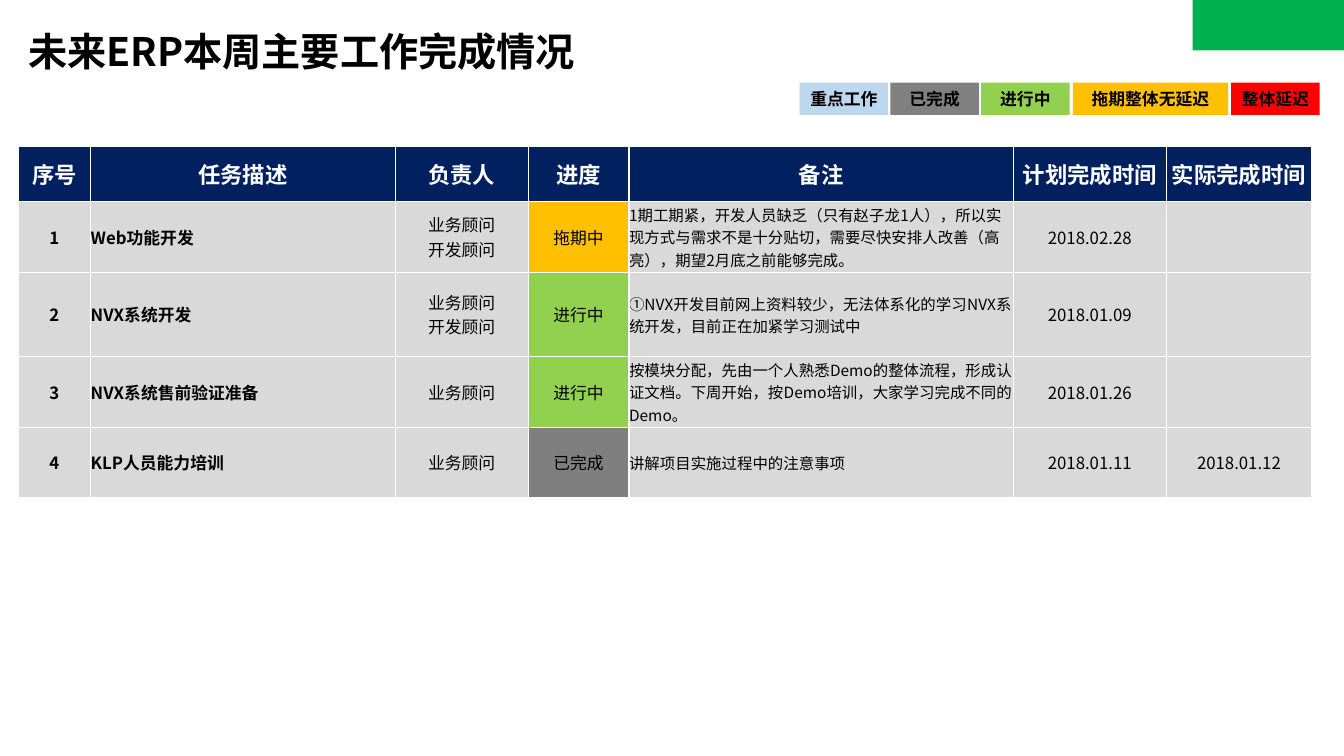
from dataclasses import dataclass

from lxml.etree import SubElement
from pptx import Presentation
from pptx.dml.color import RGBColor
from pptx.enum.shapes import MSO_SHAPE
from pptx.enum.text import MSO_ANCHOR, PP_ALIGN
from pptx.oxml.ns import qn
from pptx.shapes.autoshape import Shape
from pptx.slide import Slide
from pptx.table import _Cell as Cell
from pptx.text.text import TextFrame
from pptx.util import Inches, Pt

BLACK = RGBColor(0x00, 0x00, 0x00)
WHITE = RGBColor(0xFF, 0xFF, 0xFF)
NAVY = RGBColor(0x00, 0x20, 0x60)
LIGHT_GRAY = RGBColor(0xD9, 0xD9, 0xD9)
DONE_GRAY = RGBColor(0x7F, 0x7F, 0x7F)
LEGEND_GRAY = RGBColor(0x80, 0x80, 0x80)
LIME = RGBColor(0x92, 0xD0, 0x50)
AMBER = RGBColor(0xFF, 0xC0, 0x00)
RED = RGBColor(0xFF, 0x00, 0x00)
PALE_BLUE = RGBColor(0xBD, 0xD7, 0xEE)
GREEN = RGBColor(0x00, 0xB0, 0x50)
CJK_FONT = "Noto Sans CJK SC"


@dataclass(frozen=True)
class TextStyle:
    size: float
    color: RGBColor = BLACK
    bold: bool = False
    align: PP_ALIGN = PP_ALIGN.CENTER


@dataclass(frozen=True)
class LegendEntry:
    text: str
    fill: RGBColor
    left: float
    width: float = 0.88


@dataclass(frozen=True)
class Column:
    heading: str
    width: float
    style: TextStyle


@dataclass(frozen=True)
class Task:
    name: str
    owners: str
    status: str
    remark: str
    planned: str
    actual: str = ""
    height: float = 0.7


TITLE_STYLE = TextStyle(28, bold=True, align=PP_ALIGN.LEFT)
HEADING_STYLE = TextStyle(16, WHITE, bold=True)
BODY_STYLE = TextStyle(12)
BOLD_STYLE = TextStyle(12, bold=True)
HEADING_HEIGHT = 0.55
LEGEND_TOP, LEGEND_HEIGHT = 0.82, 0.32
STATUS_FILLS = {"拖期中": AMBER, "进行中": LIME, "已完成": DONE_GRAY}

LEGEND = [
    LegendEntry("重点工作", PALE_BLUE, 7.93),
    LegendEntry("已完成", LEGEND_GRAY, 8.83),
    LegendEntry("进行中", LIME, 9.73),
    LegendEntry("拖期整体无延迟", AMBER, 10.64, width=1.54),
    LegendEntry("整体延迟", RED, 12.21),
]

COLUMNS = [
    Column("序号", 0.72, BOLD_STYLE),
    Column("任务描述", 3.02, TextStyle(12, bold=True, align=PP_ALIGN.LEFT)),
    Column("负责人", 1.32, BODY_STYLE),
    Column("进度", 1, BODY_STYLE),
    Column("备注", 3.81, TextStyle(11, align=PP_ALIGN.LEFT)),
    Column("计划完成时间", 1.52, BODY_STYLE),
    Column("实际完成时间", 1.44, BODY_STYLE),
]

TASKS = [
    Task("Web功能开发", "业务顾问\n开发顾问", "拖期中",
         "1期工期紧，开发人员缺乏（只有赵子龙1人），所以实现方式与需求不是十分贴切，"
         "需要尽快安排人改善（高亮），期望2月底之前能够完成。", "2018.02.28"),
    Task("NVX系统开发", "业务顾问\n开发顾问", "进行中",
         "①NVX开发目前网上资料较少，无法体系化的学习NVX系统开发，目前正在加紧学习测试中",
         "2018.01.09", height=0.84),
    Task("NVX系统售前验证准备", "业务顾问", "进行中",
         "按模块分配，先由一个人熟悉Demo的整体流程，形成认证文档。"
         "下周开始，按Demo培训，大家学习完成不同的Demo。", "2018.01.26"),
    Task("KLP人员能力培训", "业务顾问", "已完成",
         "讲解项目实施过程中的注意事项", "2018.01.11", "2018.01.12"),
]


def write_text(frame: TextFrame, text: str, style: TextStyle) -> None:
    frame.text = text
    for paragraph in frame.paragraphs:
        paragraph.alignment = style.align
        font = paragraph.font
        font.size = Pt(style.size)
        font.bold = style.bold
        font.color.rgb = style.color
        font.name = CJK_FONT
        defaults = paragraph._p.get_or_add_pPr().find(qn("a:defRPr"))
        SubElement(defaults, qn("a:ea"), typeface=CJK_FONT)


def add_title(page: Slide) -> None:
    title = page.shapes.title
    title.left, title.top = Inches(0.18), Inches(0.18)
    title.width, title.height = Inches(11.5), Inches(0.7)
    frame = title.text_frame
    frame.vertical_anchor = MSO_ANCHOR.MIDDLE
    write_text(frame, "未来ERP本周主要工作完成情况", TITLE_STYLE)
    frame.paragraphs[0].line_spacing = 0.9


def add_rectangle(page: Slide, left: float, top: float, width: float,
                  height: float, fill: RGBColor) -> Shape:
    box = page.shapes.add_shape(MSO_SHAPE.RECTANGLE, Inches(left), Inches(top),
                                Inches(width), Inches(height))
    box.shadow.inherit = False
    box.fill.solid()
    box.fill.fore_color.rgb = fill
    box.line.fill.background()
    return box


def add_legend_entry(page: Slide, entry: LegendEntry) -> None:
    box = add_rectangle(page, entry.left, LEGEND_TOP, entry.width,
                        LEGEND_HEIGHT, entry.fill)
    frame = box.text_frame
    frame.margin_left = frame.margin_right = 0
    frame.vertical_anchor = MSO_ANCHOR.MIDDLE
    write_text(frame, entry.text, BOLD_STYLE)


def fill_cell(cell: Cell, text: str, style: TextStyle, fill: RGBColor) -> None:
    cell.margin_left = cell.margin_right = 0
    cell.margin_top = cell.margin_bottom = 0
    cell.vertical_anchor = MSO_ANCHOR.MIDDLE
    write_text(cell.text_frame, text, style)
    properties = cell._tc.get_or_add_tcPr()
    for side in ("a:lnL", "a:lnR", "a:lnT", "a:lnB"):
        border = SubElement(properties, qn(side), w=str(Pt(1)))
        solid = SubElement(border, qn("a:solidFill"))
        SubElement(solid, qn("a:srgbClr"), val=str(WHITE))
    cell.fill.solid()
    cell.fill.fore_color.rgb = fill


def add_task_table(page: Slide) -> None:
    heights = [HEADING_HEIGHT] + [task.height for task in TASKS]
    table = page.shapes.add_table(
        len(heights), len(COLUMNS), Inches(0.18), Inches(1.45),
        Inches(sum(column.width for column in COLUMNS)),
        Inches(sum(heights))).table
    table.first_row = table.horz_banding = False
    for row, height in zip(table.rows, heights):
        row.height = Inches(height)
    for index, column in enumerate(COLUMNS):
        table.columns[index].width = Inches(column.width)
        fill_cell(table.cell(0, index), column.heading, HEADING_STYLE, NAVY)
    for number, task in enumerate(TASKS, start=1):
        values = (str(number), task.name, task.owners, task.status,
                  task.remark, task.planned, task.actual)
        for index, (column, value) in enumerate(zip(COLUMNS, values)):
            fill = STATUS_FILLS.get(value, LIGHT_GRAY)
            fill_cell(table.cell(number, index), value, column.style, fill)


def main() -> None:
    deck = Presentation()
    deck.slide_width, deck.slide_height = Inches(13.33), Inches(7.5)
    page = deck.slides.add_slide(deck.slide_layouts.get_by_name("Title Only"))
    add_title(page)
    add_task_table(page)
    for entry in LEGEND:
        add_legend_entry(page, entry)
    add_rectangle(page, 11.83, 0, 1.5, 0.5, GREEN)
    deck.save("out.pptx")


if __name__ == "__main__":
    main()
